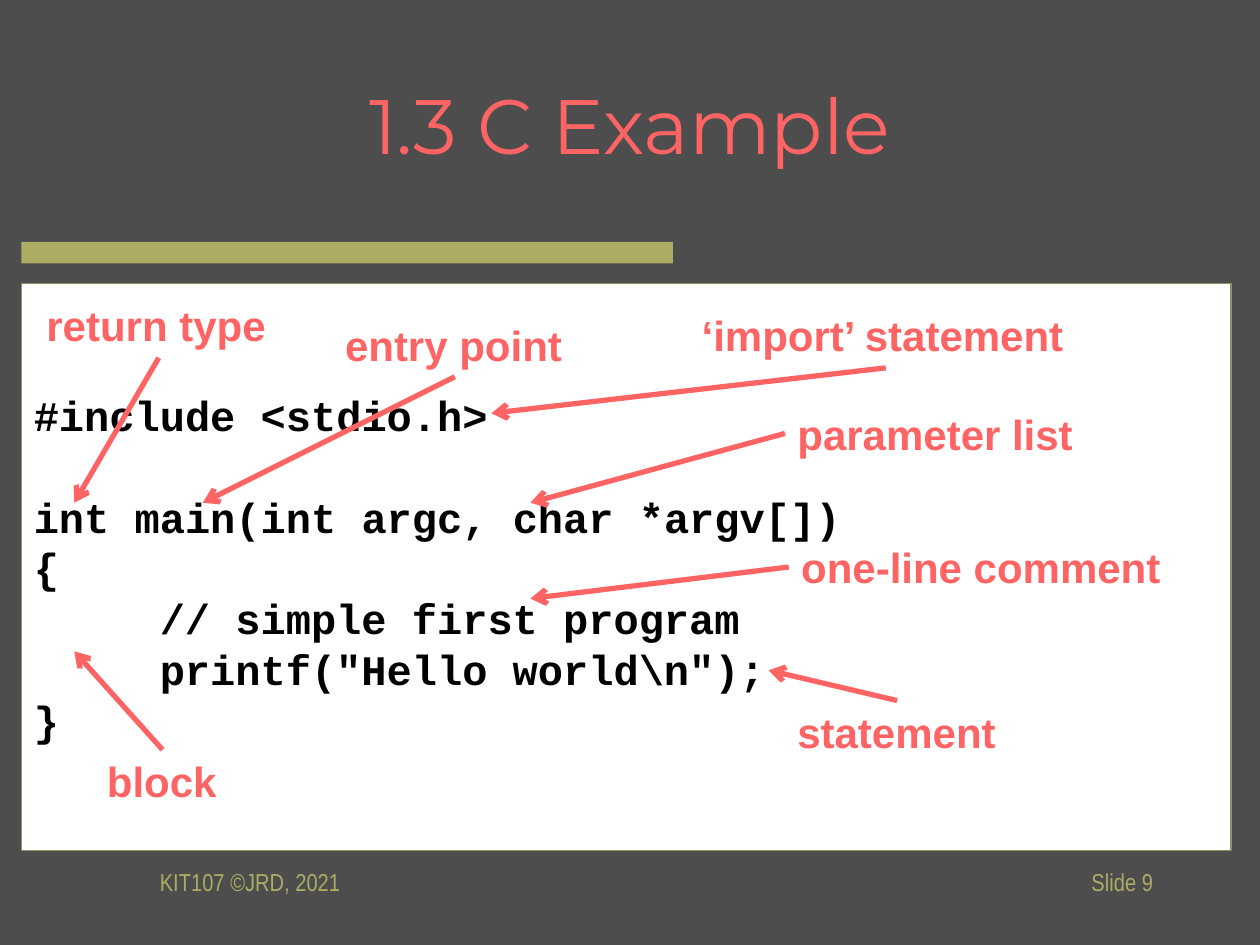
from pptx import Presentation
from pptx.dml.color import RGBColor
from pptx.enum.shapes import MSO_CONNECTOR as CONN, MSO_SHAPE as SHAPE
from pptx.enum.text import MSO_ANCHOR as ANCHOR, PP_ALIGN as ALIGN
from pptx.oxml import parse_xml
from pptx.oxml.ns import nsdecls
from pptx.util import Inches, Pt

DARK, CORAL, OLIVE, OLIVE_EDGE = "4D4D4D", "FF6464", "ACAC64", "909063"
WHITE, BLACK = "FFFFFF", "000000"
CODE_PITCH = 29

CODE = [
    ("#include <stdio.h>", CODE_PITCH),
    ("int main(int argc, char *argv[])", 0),
    ("{", 0),
    ("\t// simple first program", 0),
    ('\tprintf("Hello world\\n");', 0),
    ("}", 0),
]

CALLOUTS = [
    ("return type", (0.27, 2.33, 1.96), (1.26, 2.84), (0.59, 3.99)),
    ("entry point", (2.64, 2.49, 1.94), (3.61, 2.99), (1.61, 3.99)),
    ("‘import’ statement", (5.47, 2.41, 3.11), (7.03, 2.92), (3.9, 3.28)),
    ("parameter list", (6.23, 3.19, 2.41), (6.23, 3.44), (4.21, 3.99)),
    ("one-line comment", (6.26, 4.25, 3.08), (6.26, 4.5), (4.21, 4.75)),
    ("statement", (6.23, 5.56, 1.8), (7.12, 5.56), (6.1, 5.32)),
    ("block", (0.75, 5.95, 1.08), (1.29, 5.95), (0.59, 5.17)),
]


def rgb(color):
    """Turn a hex string into a colour."""
    return RGBColor.from_string(color)


def add_run(p, text, size, font, color, bold=False):
    """Add one formatted run to a paragraph."""
    r = p.add_run()
    r.text = text
    r.font.size = Pt(size)
    r.font.name = font
    r.font.bold = bold
    r.font.color.rgb = rgb(color)


def add_text(shapes, box, text, size, font, color, bold=False,
             align=ALIGN.LEFT, anchor=ANCHOR.MIDDLE, wrap=False):
    """Add a text box holding a single line."""
    tf = shapes.add_textbox(*map(Inches, box)).text_frame
    tf.word_wrap = wrap
    tf.vertical_anchor = anchor
    p = tf.paragraphs[0]
    p.alignment = align
    add_run(p, text, size, font, color, bold)


def add_rect(shapes, box, fill, line=None):
    """Add a flat rectangle with an optional thin outline."""
    sp = shapes.add_shape(SHAPE.RECTANGLE, *map(Inches, box))
    sp.shadow.inherit = False
    sp.fill.solid()
    sp.fill.fore_color.rgb = rgb(fill)
    if line:
        sp.line.color.rgb = rgb(line)
        sp.line.width = Pt(1)
    else:
        sp.line.fill.background()
    return sp


def set_tab(p, position):
    """Give a paragraph one left tab stop."""
    p._p.get_or_add_pPr().append(parse_xml(
        f'<a:tabLst {nsdecls("a")}><a:tab pos="{position}" algn="l"/></a:tabLst>'))


def add_code(shapes, box, lines):
    """Add the code panel, one paragraph for each line of code."""
    tf = add_rect(shapes, box, WHITE, OLIVE_EDGE).text_frame
    tf.word_wrap = True
    tf.vertical_anchor = ANCHOR.MIDDLE
    for i, (text, gap) in enumerate(lines):
        p = tf.add_paragraph() if i else tf.paragraphs[0]
        p.alignment = ALIGN.LEFT
        p.line_spacing = Pt(CODE_PITCH)
        p.space_after = Pt(gap)
        set_tab(p, Inches(1))
        add_run(p, text, 24, "Courier New", BLACK, True)


def add_arrow(shapes, start, end):
    """Add a straight line with an open arrowhead at its end."""
    line = shapes.add_connector(CONN.STRAIGHT, *map(Inches, start + end))
    line.line.color.rgb = rgb(CORAL)
    line.line.width = Pt(3)
    ln = line.line._get_or_add_ln()
    ln.append(parse_xml(f'<a:tailEnd {nsdecls("a")} type="arrow"/>'))
    ln.addnext(parse_xml(f'<a:effectLst {nsdecls("a")}/>'))


def add_callout(shapes, label, corner, start, end):
    """Add a grouped label and the arrow that leads from it."""
    group = shapes.add_group_shape().shapes
    add_text(group, corner + (0.51,), label, 24, "Arial", CORAL, True,
             anchor=ANCHOR.TOP)
    add_arrow(group, start, end)


def main():
    """Build the slide and save it."""
    prs = Presentation()
    prs.slide_width, prs.slide_height = Inches(10), Inches(7.5)
    s = prs.slides.add_slide(prs.slide_layouts[6])
    s.background.fill.solid()
    s.background.fill.fore_color.rgb = rgb(DARK)
    add_rect(s.shapes, (0.17, 1.92, 5.17, 0.17), OLIVE)
    add_text(s.shapes, (0.75, 0.36, 8.5, 1.25), "1.3 C Example", 44,
             "Montserrat", CORAL, align=ALIGN.CENTER, wrap=True)
    for left, text, align in ((1.17, "KIT107 ©JRD, 2021", ALIGN.LEFT),
                              (7.17, "Slide 9", ALIGN.RIGHT)):
        add_text(s.shapes, (left, 6.75, 2.08, 0.5), text, 14,
                 "Arial Narrow", OLIVE, align=align)
    add_code(s.shapes, (0.17, 2.25, 9.6, 4.5), CODE)
    for callout in CALLOUTS:
        add_callout(s.shapes, *callout)
    prs.save("out.pptx")


if __name__ == "__main__":
    main()
